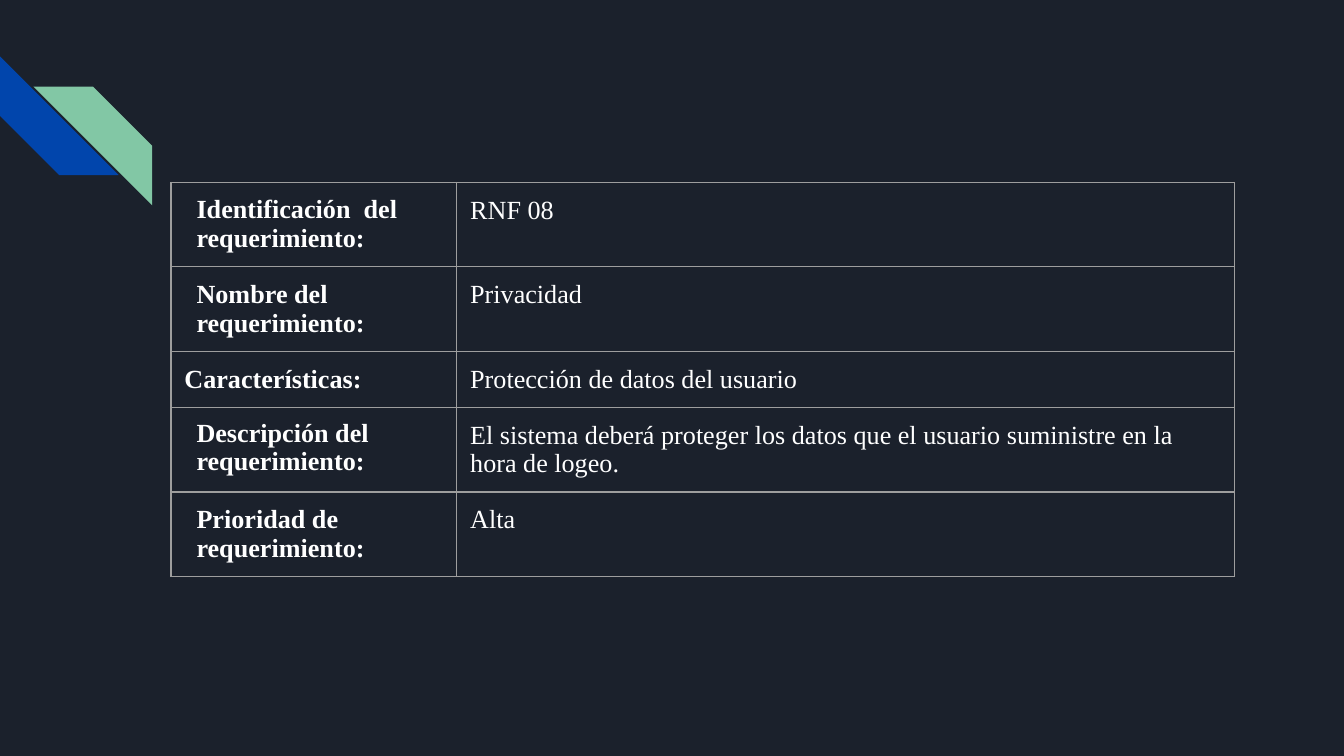
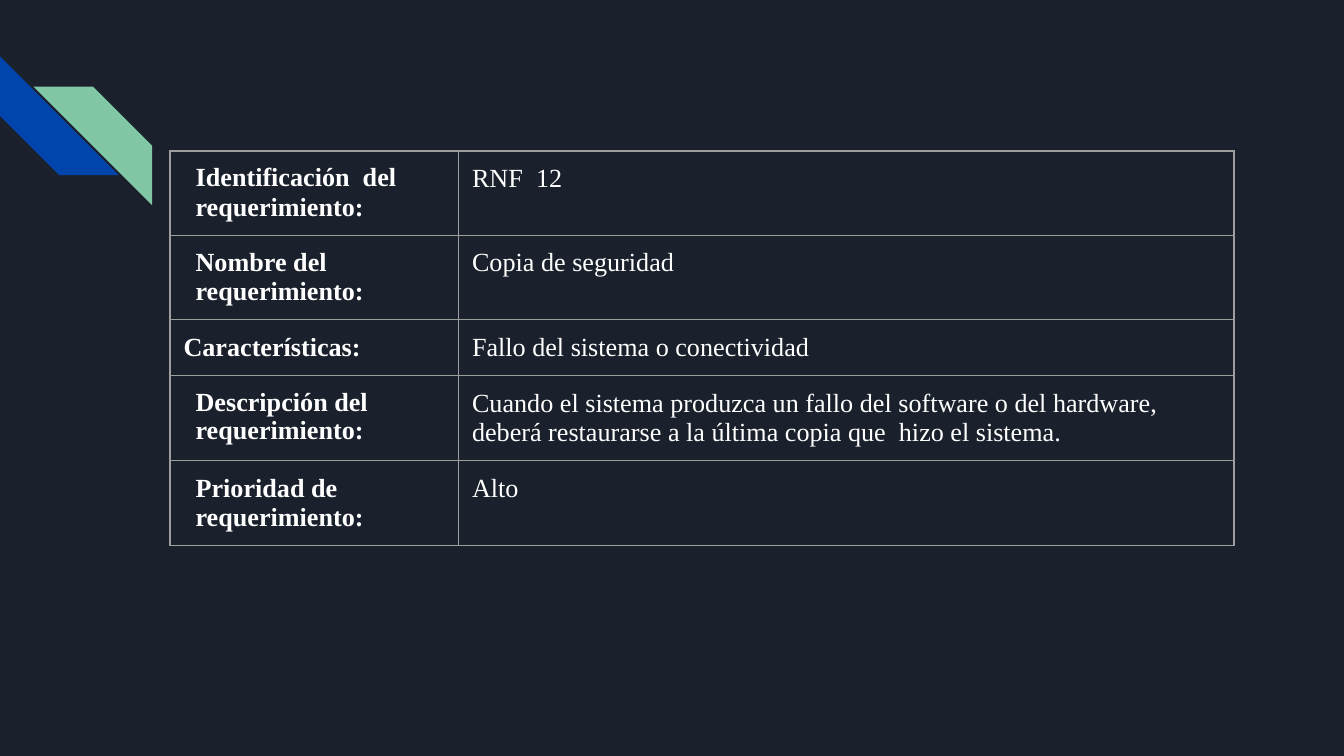
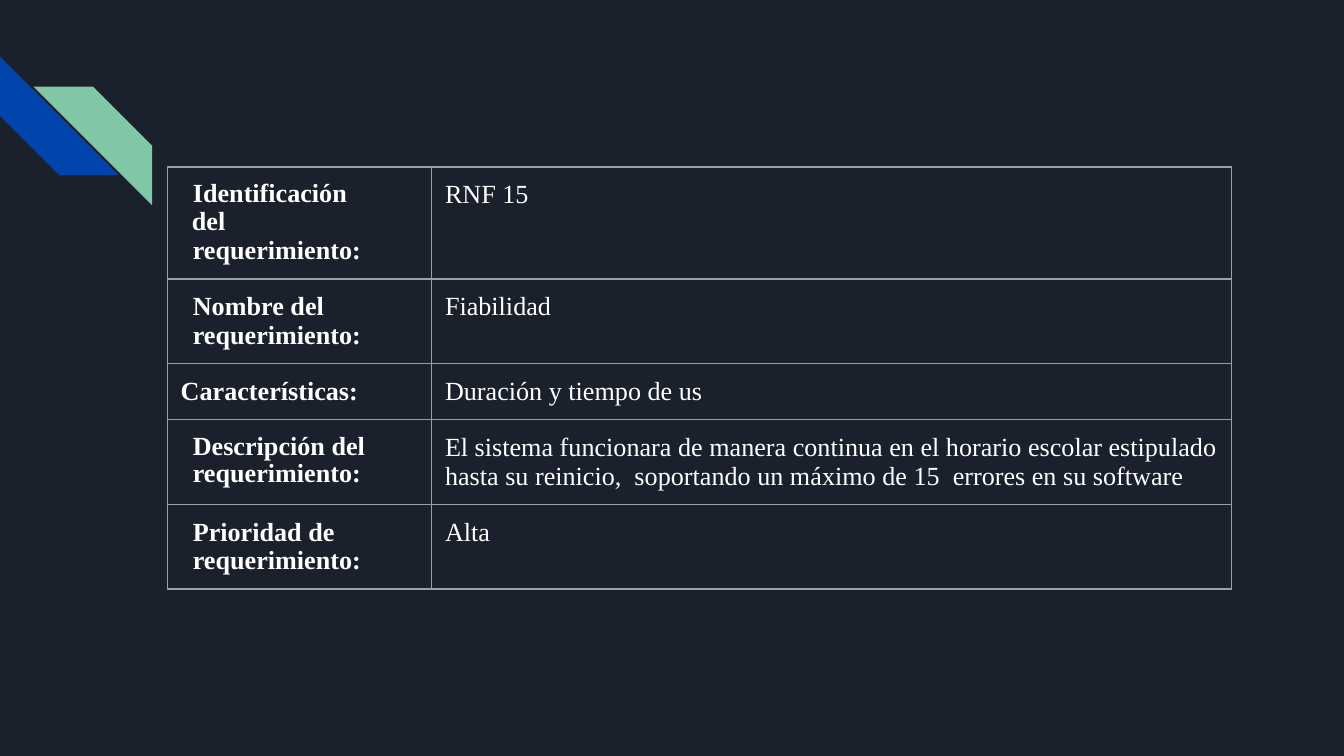
"""Build three requirement slides, each with one table on a dark background."""
from dataclasses import dataclass

import pptx
import pptx.dml.color
import pptx.enum.shapes
import pptx.oxml
import pptx.oxml.ns
import pptx.util

Pt = pptx.util.Pt
RGB = pptx.dml.color.RGBColor.from_string


@dataclass(frozen=True)
class Theme:
    """Colours, type and spacing shared by the slides."""
    background: str = "1B212C"
    blue: str = "0145AC"
    green: str = "82C7A5"
    text: str = "FFFFFF"
    border: str = "9E9E9E"
    border_width: float = 0.75
    font: str = "Times New Roman"
    size: float = 14
    margin: float = 7.2
    row_height: float = 30


@dataclass(frozen=True)
class Line:
    """One paragraph of a cell with its layout."""
    text: str
    left: float = 0
    first: float = 0
    right: float = 0
    before: float = 0
    spacing: float = 1


THEME = Theme()
INDENT = 6.5
REQUIREMENT = Line("requerimiento:", INDENT)
LABELS = [
    [Line("Identificación  del", 6, 0.5, right=20, spacing=0.96),
     Line("requerimiento:", INDENT, before=0.3)],
    [Line("Nombre del", INDENT), REQUIREMENT],
    [Line("Características:")],
    [Line("Descripción del  requerimiento:", INDENT, spacing=0.96)],
    [Line("Prioridad de", INDENT), REQUIREMENT],
]
SLIDES = [
    ((91.6, 97.8), (153.1, 416.8), [
        "RNF 08", "Privacidad", "Protección de datos del usuario",
        "El sistema deberá proteger los datos que el usuario suministre "
        "en la hora de logeo.", "Alta"]),
    ((91.1, 80.9), (154.6, 415.4), [
        "RNF  12", "Copia de seguridad", "Fallo del sistema o conectividad",
        "Cuando el sistema produzca un fallo del software o del hardware, "
        "deberá restaurarse a la última copia que  hizo el sistema.", "Alto"]),
    ((89.6, 89.5), (141.6, 428.4), [
        "RNF 15", "Fiabilidad", "Duración y tiempo de us",
        "El sistema funcionara de manera continua en el horario escolar "
        "estipulado hasta su reinicio,  soportando un máximo de 15  errores "
        "en su software", "Alta"]),
]


def add_stripe(s, x, y, size, color):
    """Add a square diagonal stripe without outline."""
    sp = s.shapes.add_shape(pptx.enum.shapes.MSO_SHAPE.DIAGONAL_STRIPE,
                            Pt(x), Pt(y), Pt(size), Pt(size))
    sp.shadow.inherit = False
    sp.fill.solid()
    sp.fill.fore_color.rgb = RGB(color)
    sp.line.fill.background()
    return sp


def add_corner(s, x, y, size):
    """Add the pair of stripes whose top left corner is at x, y."""
    add_stripe(s, x, y, size, THEME.blue).rotation = 270
    green = add_stripe(s, x + 18, y + 16.2, size, THEME.green)
    green._element.spPr.xfrm.set("flipH", "1")


def style_cell(cell):
    """Give a cell its margins, borders and empty fill."""
    cell.margin_left = cell.margin_right = Pt(THEME.margin)
    cell.margin_top = cell.margin_bottom = Pt(THEME.margin)
    props = cell._tc.get_or_add_tcPr()
    for side in "LRTB":
        props.append(pptx.oxml.parse_xml(
            f'<a:ln{side} {pptx.oxml.ns.nsdecls("a")} w="{Pt(THEME.border_width)}">'
            f'<a:solidFill><a:srgbClr val="{THEME.border}"/></a:solidFill>'
            f'</a:ln{side}>'))
    cell.fill.background()


def write_cell(cell, lines, bold):
    """Write the lines into a cell, one paragraph each."""
    style_cell(cell)
    tf = cell.text_frame
    for i, line in enumerate(lines):
        p = tf.add_paragraph() if i else tf.paragraphs[0]
        p.add_run().text = line.text
        p.line_spacing = line.spacing
        p.space_before = Pt(line.before)
        p.font.name = THEME.font
        p.font.size = Pt(THEME.size)
        p.font.bold = bold
        p.font.color.rgb = RGB(THEME.text)
        props = p._p.get_or_add_pPr()
        props.set("marL", str(Pt(line.left)))
        props.set("marR", str(Pt(line.right)))
        props.set("indent", str(Pt(line.first)))


def add_requirement_table(s, x, y, widths, values):
    """Add the table of labels and values at x, y."""
    height = THEME.row_height * len(LABELS)
    table = s.shapes.add_table(len(LABELS), len(widths), Pt(x), Pt(y),
                               Pt(sum(widths)), Pt(height)).table
    table.first_row = table.horz_banding = False
    for column, width in zip(table.columns, widths):
        column.width = Pt(width)
    for row, label, value in zip(table.rows, LABELS, values):
        write_cell(row.cells[0], label, True)
        write_cell(row.cells[1], [Line(value)], False)


def add_requirement_slide(prs, origin, widths, values):
    """Add one slide that describes a requirement."""
    s = prs.slides.add_slide(prs.slide_layouts[6])
    s.background.fill.solid()
    s.background.fill.fore_color.rgb = RGB(THEME.background)
    add_corner(s, 0, 30.2, 63.6)
    add_requirement_table(s, *origin, widths, values)


def main():
    """Build and save the presentation."""
    prs = pptx.Presentation()
    prs.slide_width, prs.slide_height = Pt(720), Pt(405)
    for origin, widths, values in SLIDES:
        add_requirement_slide(prs, origin, widths, values)
    prs.save("out.pptx")


if __name__ == "__main__":
    main()
